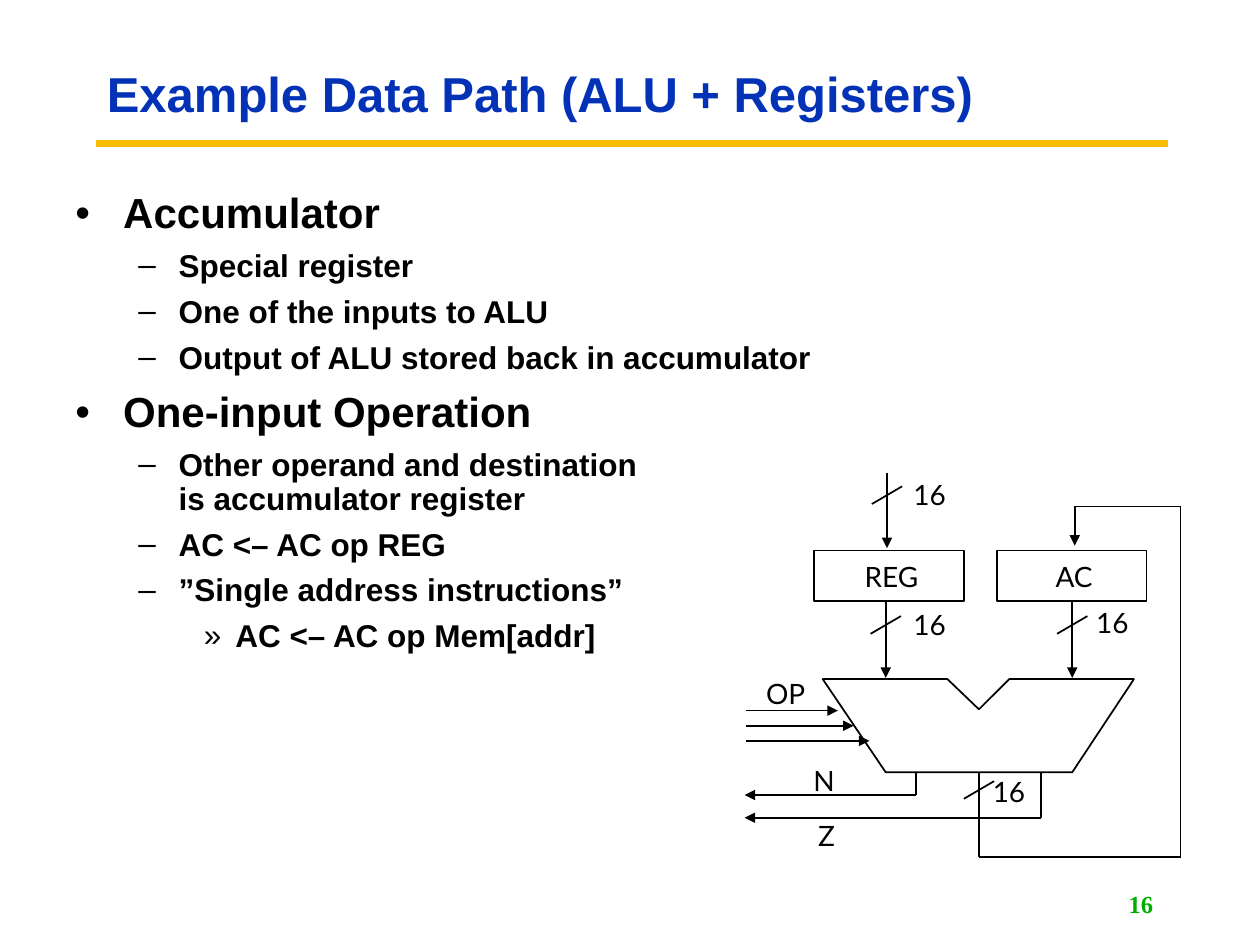
from pptx import Presentation
from pptx.dml.color import RGBColor
from pptx.enum.shapes import MSO_CONNECTOR, MSO_SHAPE
from pptx.enum.text import MSO_ANCHOR, PP_ALIGN
from pptx.oxml.ns import qn
from pptx.util import Inches, Pt
from lxml.etree import SubElement


def color(code):
    return RGBColor.from_string(code)


class Board:
    ink = "000000"
    blue = "0332B7"
    gold = "FBBA03"
    green = "00AE00"
    head = "Arial"
    label_face = "Lato"
    page_face = "Times New Roman"
    levels = [
        ("•", 24, 9, 0.38, 0.38),
        ("–", 18, 6.8, 0.82, 0.32),
        ("»", 18, 6.8, 1.27, 0.25),
    ]

    def __init__(self, slide):
        self.shapes = slide.shapes

    def font(self, para, face, size, code, bold=False):
        font = para.font
        font.name, font.size, font.bold = face, Pt(size), bold
        font.color.rgb = color(code)

    def box(self, x, y, w, h, pad=(0.1, 0.05), wrap=True, anchor=MSO_ANCHOR.TOP):
        frame = self.shapes.add_textbox(*map(Inches, (x, y, w, h))).text_frame
        frame.word_wrap = wrap
        frame.vertical_anchor = anchor
        frame.margin_left = frame.margin_right = Inches(pad[0])
        frame.margin_top = frame.margin_bottom = Inches(pad[1])
        return frame

    def title(self, text, *area):
        para = self.box(*area, anchor=MSO_ANCHOR.MIDDLE).paragraphs[0]
        para.text = text
        para.line_spacing = 0.9
        self.font(para, self.head, 28, self.blue, True)

    def page(self, text, *area):
        para = self.box(*area, anchor=MSO_ANCHOR.MIDDLE).paragraphs[0]
        para.text = text
        para.alignment = PP_ALIGN.RIGHT
        self.font(para, self.page_face, 14, self.green, True)

    def label(self, text, x, y, w=0.6, align=PP_ALIGN.LEFT):
        para = self.box(x, y, w, 0.38, (0.02, 0.03), False).paragraphs[0]
        para.text = text
        para.alignment = align
        para.line_spacing = Pt(17.7)
        self.font(para, self.label_face, 16, self.ink)

    def bullets(self, items, *area):
        frame = self.box(*area)
        for i, (level, text) in enumerate(items):
            para = frame.add_paragraph() if i else frame.paragraphs[0]
            mark, size, gap, left, hang = self.levels[level]
            para.text = text
            para.level = level
            para.line_spacing = 0.9
            para.space_before = Pt(gap)
            props = para._p.get_or_add_pPr()
            props.set("marL", str(Inches(left)))
            props.set("indent", str(-Inches(hang)))
            SubElement(props, qn("a:buFont")).set("typeface", self.head)
            SubElement(props, qn("a:buChar")).set("char", mark)
            self.font(para, self.head, size, self.ink, True)

    def line(self, x1, y1, x2, y2, arrow=False, code=ink, width=1):
        link = self.shapes.add_connector(
            MSO_CONNECTOR.STRAIGHT, *map(Inches, (x1, y1, x2, y2)))
        link.line.color.rgb = color(code)
        link.line.width = Pt(width)
        if arrow:
            SubElement(link.line._get_or_add_ln(), qn("a:tailEnd")).set("type", "triangle")
        SubElement(link._element.spPr, qn("a:effectLst"))

    def outline(self, shape):
        shape.shadow.inherit = False
        shape.fill.background()
        shape.line.color.rgb = color(self.ink)
        shape.line.width = Pt(1)

    def block(self, text, x, y):
        self.outline(self.shapes.add_shape(
            MSO_SHAPE.RECTANGLE, *map(Inches, (x, y, 1.19, 0.4))))
        self.label(text, x + 0.22, y + 0.06, 0.79, PP_ALIGN.CENTER)

    def shape(self, points):
        spots = [(Inches(x), Inches(y)) for x, y in points]
        form = self.shapes.build_freeform(*spots[0])
        form.add_line_segments(spots[1:], close=True)
        self.outline(form.convert_to_shape())

    def slash(self, x, y):
        self.line(x - 0.12, y + 0.07, x + 0.12, y - 0.07)


def main():
    deck = Presentation()
    deck.slide_width, deck.slide_height = Inches(10), Inches(7.5)
    board = Board(deck.slides.add_slide(deck.slide_layouts[6]))

    board.line(0.76, 1.14, 9.27, 1.14, code=board.gold, width=3.75)
    board.title("Example Data Path (ALU + Registers)", 0.75, 0.36, 7.98, 0.81)
    board.bullets([
        (0, "Accumulator"),
        (1, "Special register"),
        (1, "One of the inputs to ALU"),
        (1, "Output of ALU stored back in accumulator"),
        (0, "One-input Operation"),
        (1, "Other operand and destination\nis accumulator register"),
        (1, "AC <– AC op REG"),
        (1, "”Single address instructions”"),
        (2, "AC <– AC op Mem[addr]"),
    ], 0.5, 1.48, 8.94, 4.88)

    board.shape([(6.53, 5.39), (7.52, 5.39), (7.77, 5.63), (8.01, 5.39),
                 (9, 5.39), (8.51, 6.13), (7.03, 6.13)])
    board.block("REG", 6.46, 4.37)
    board.block("AC", 7.91, 4.37)

    for x, y in [(7.04, 3.75), (7.03, 4.78), (8.51, 4.78)]:
        board.line(x, y, x, y + 0.6, True)
        board.slash(x, y + 0.18)
    board.slash(7.77, 6.27)
    for x, y in [(7.23, 3.78), (7.23, 4.81), (8.68, 4.8), (7.86, 6.14)]:
        board.label("16", x, y)

    for i in range(3):
        y = 5.64 + 0.12 * i
        board.line(5.92, y, 6.65 + 0.125 * i, y, True)
    for x, y in [(7.27, 6.31), (8.26, 6.49)]:
        board.line(x, 6.13, x, y)
        board.line(x, y, 5.91, y, True)
    for text, x, y, w in [("OP", 5.84, 5.36, 0.79), ("N", 6.22, 6.05, 0.64),
                          ("Z", 6.25, 6.49, 0.62)]:
        board.label(text, x, y, w, PP_ALIGN.CENTER)

    loop = [(7.77, 6.13), (7.77, 6.8), (9.37, 6.8), (9.37, 4.02), (8.53, 4.02), (8.53, 4.33)]
    for start, end in zip(loop, loop[1:]):
        board.line(*start, *end, arrow=end == loop[-1])

    board.page("16", 7.17, 7.01, 2.08, 0.32)
    deck.save("out.pptx")


if __name__ == "__main__":
    main()
